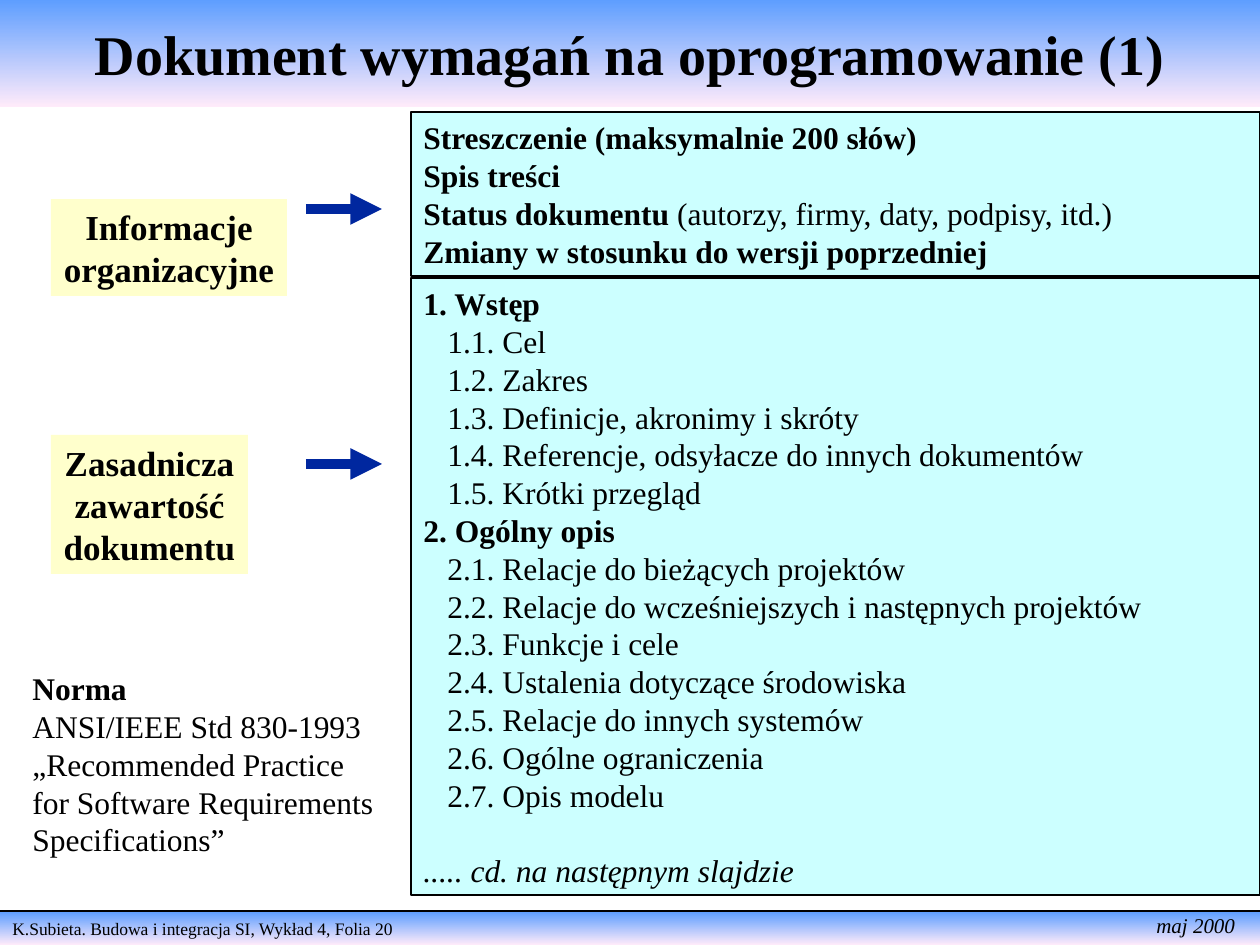
"""Builds the slide on the software requirements document."""
from lxml import etree
from pptx import Presentation, util as u
from pptx.dml.color import RGBColor
from pptx.enum import shapes, text
from pptx.oxml.ns import qn

FONT = "Times New Roman"
BLACK, NAVY = "000000", "00279F"
CYAN, CREAM = "CCFFFF", "FFFFCC"
SKY, BLUSH = "5E9EFF", "FFEBFA"
LEFT, CENTER = text.PP_ALIGN.LEFT, text.PP_ALIGN.CENTER

ORGANISATION = [
    "Streszczenie (maksymalnie 200 słów)",
    "Spis treści",
    [("Status dokumentu ", True), ("(autorzy, firmy, daty, podpisy, itd.)", False)],
    "Zmiany w stosunku do wersji poprzedniej",
]
CHAPTERS = {
    "Wstęp": [
        "Cel",
        "Zakres",
        "Definicje, akronimy i skróty",
        "Referencje, odsyłacze do innych dokumentów",
        "Krótki przegląd",
    ],
    "Ogólny opis": [
        "Relacje do bieżących projektów",
        "Relacje do wcześniejszych i następnych projektów",
        "Funkcje i cele",
        "Ustalenia dotyczące środowiska",
        "Relacje do innych systemów",
        "Ogólne ograniczenia",
        "Opis modelu",
    ],
}
STANDARD = [
    "ANSI/IEEE Std 830-1993",
    "„Recommended Practice for Software Requirements Specifications”",
]


def px(length):
    """Turn pixels into EMU."""
    return u.Inches(length / 126)


def rgb(value):
    """Turn a hex string into a colour."""
    return RGBColor.from_string(value)


def write(frame, content, size=18, bold=False, italic=False, align=LEFT, indent=0, gap=0):
    """Add one paragraph, given as a string or as (text, bold) runs."""
    started = bool(frame.text)
    paragraph = frame.add_paragraph() if started else frame.paragraphs[0]
    paragraph.alignment = align
    paragraph.line_spacing = u.Pt(size * 1.2)
    if started:
        paragraph.space_before = u.Pt(gap)
    if indent:
        paragraph._p.get_or_add_pPr().set("marL", str(px(indent)))
    runs = [(content, bold)] if isinstance(content, str) else content
    for words, weight in runs:
        run = paragraph.add_run()
        run.text = words
        run.font.name, run.font.size = FONT, u.Pt(size)
        run.font.bold, run.font.italic = weight, italic
        run.font.color.rgb = rgb(BLACK)


def set_frame(shape, wrap=True, anchor=text.MSO_ANCHOR.TOP):
    """Set wrapping and anchoring of a shape and return its text frame."""
    frame = shape.text_frame
    frame.auto_size = text.MSO_AUTO_SIZE.NONE
    frame.word_wrap, frame.vertical_anchor = wrap, anchor
    return frame


def shade(shape):
    """Fill a band with the vertical gradient."""
    shape.fill.gradient()
    shape.fill.gradient_angle = 270
    for stop, colour, position in zip(shape.fill.gradient_stops, (SKY, BLUSH), (0, 1)):
        stop.color.rgb, stop.position = rgb(colour), position


def add_box(slide, left, top, width, height, fill=None, line=None, wrap=True):
    """Add a rectangle and return its text frame; no fill means the gradient."""
    box = slide.shapes.add_shape(
        shapes.MSO_SHAPE.RECTANGLE, px(left), px(top), px(width), px(height))
    box.shadow.inherit = False
    if fill:
        box.fill.solid()
        box.fill.fore_color.rgb = rgb(fill)
    else:
        shade(box)
    if line:
        box.line.color.rgb, box.line.width = rgb(line), u.Pt(1)
    else:
        box.line.fill.background()
    return set_frame(box, wrap)


def add_note(slide, left, top, width, height, wrap=True):
    """Add a plain text box and return its text frame."""
    return set_frame(
        slide.shapes.add_textbox(px(left), px(top), px(width), px(height)), wrap)


def add_line(slide, left, right, y, colour, width, arrow=False):
    """Add a horizontal line, with an arrowhead at its right end if asked."""
    line = slide.shapes.add_connector(
        shapes.MSO_CONNECTOR.STRAIGHT, px(left), px(y), px(right), px(y))
    line.line.color.rgb, line.line.width = rgb(colour), u.Pt(width)
    if arrow:
        etree.SubElement(line.line._get_or_add_ln(), qn("a:tailEnd"), type="triangle")
    etree.SubElement(line._element.spPr, qn("a:effectLst"))


def add_title(slide, words):
    """Place the title in its gradient band."""
    title = slide.shapes.title
    title.left, title.top, title.width, title.height = 0, 0, px(1260), px(107)
    shade(title)
    frame = set_frame(title, anchor=text.MSO_ANCHOR.MIDDLE)
    write(frame, words, size=32, bold=True, align=CENTER)


def add_footer(slide):
    """Add the bottom band with the lecture name and the date."""
    lecture = add_box(slide, 0, 912, 1260, 33)
    write(lecture, "K.Subieta. Budowa i integracja SI, Wykład 4, Folia 20", size=10)
    add_line(slide, 0, 1260, 911, BLACK, 1)
    date = add_note(slide, 1144, 906, 103, 38, wrap=False)
    write(date, "maj 2000", size=12, italic=True)


def add_label(slide, top, width, height, lines, arrow_y):
    """Add a cream label and the arrow to its part of the document."""
    label = add_box(slide, 51, top, width, height, CREAM, wrap=False)
    for words in lines:
        write(label, words, size=20, bold=True, align=CENTER)
    add_line(slide, 306, 382, arrow_y, NAVY, 6, arrow=True)


def add_contents(slide):
    """Add the two panels that list the parts of the document."""
    organisation = add_box(slide, 411, 112, 849, 164, CYAN, BLACK)
    for entry in ORGANISATION:
        write(organisation, entry, bold=True)
    contents = add_box(slide, 411, 278, 849, 617, CYAN, BLACK)
    for number, (chapter, sections) in enumerate(CHAPTERS.items(), 1):
        write(contents, f"{number}. {chapter}", bold=True)
        for part, section in enumerate(sections, 1):
            write(contents, f"{number}.{part}. {section}", indent=24)
    write(contents, "..... cd. na następnym slajdzie", italic=True, gap=21.6)


def main():
    """Build and save the slide."""
    deck = Presentation()
    deck.slide_width, deck.slide_height = px(1260), px(945)
    slide = deck.slides.add_slide(deck.slide_layouts[5])
    add_title(slide, "Dokument wymagań na oprogramowanie (1)")
    add_footer(slide)
    add_contents(slide)
    add_label(slide, 199, 236, 97, ["Informacje", "organizacyjne"], 209)
    add_label(slide, 435, 197, 139, ["Zasadnicza", "zawartość", "dokumentu"], 464)
    standard = add_note(slide, 20, 663, 379, 202)
    write(standard, "Norma", bold=True)
    for words in STANDARD:
        write(standard, words)
    deck.save("out.pptx")


if __name__ == "__main__":
    main()
